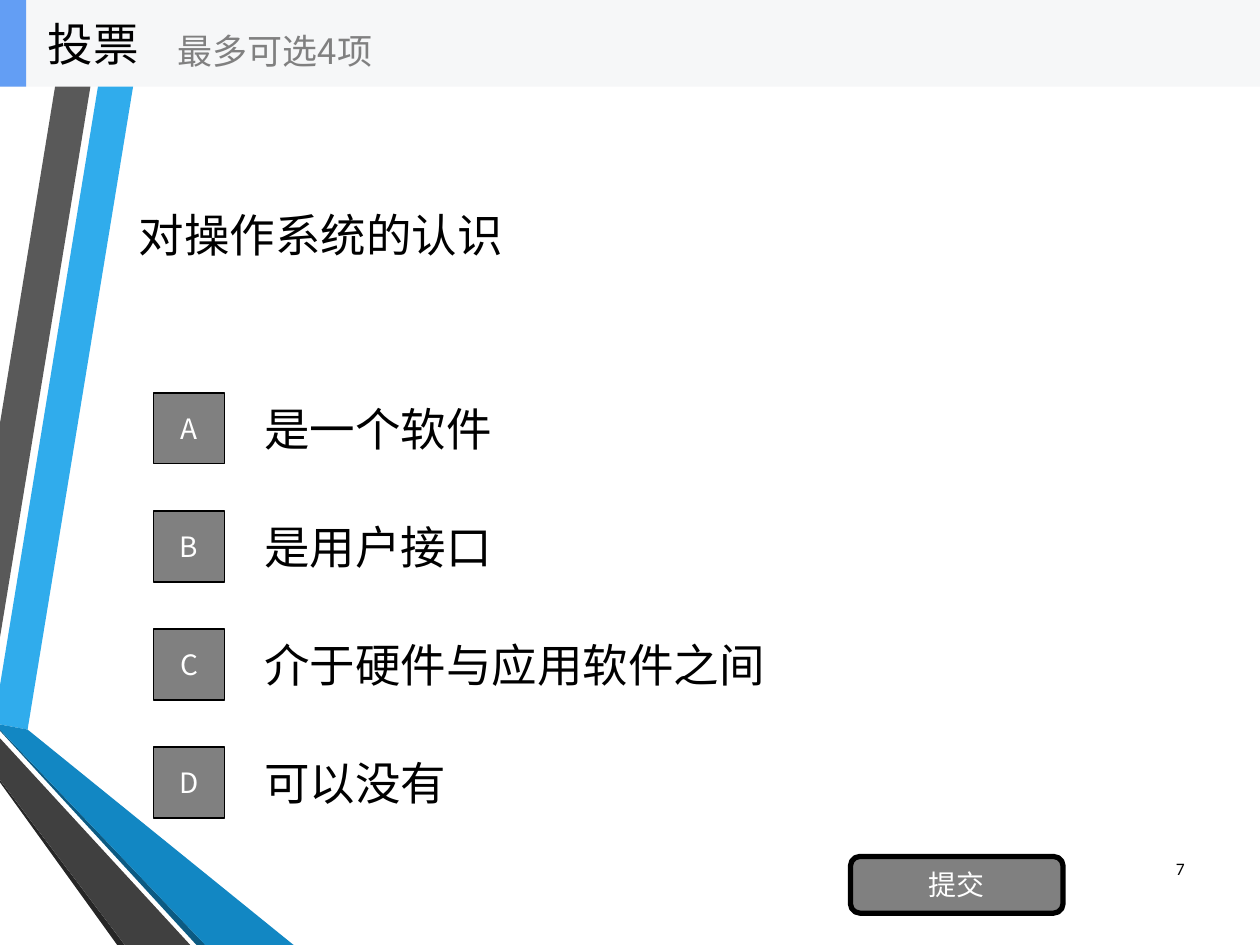
from lxml import etree
from pptx import Presentation
from pptx.dml.color import RGBColor
from pptx.enum import shapes, text
from pptx.oxml.ns import qn
from pptx.util import Pt

WIDTH, HEIGHT = 720, 540
CJK = "Noto Sans CJK SC"
BLACK, WHITE, GREY = "000000", "FFFFFF", "808080"

QUESTION = "对操作系统的认识"
OPTIONS = [
    ("A", "是一个软件"),
    ("B", "是用户接口"),
    ("C", "介于硬件与应用软件之间"),
    ("D", "可以没有"),
]
OPTION_TOP, OPTION_STEP = 219.4, 67.5
OPTION_HEIGHT, BADGE_SIZE = 50.6, 40.5
HEADER_HEIGHT = 49.6

RIBBONS = [
    ("30ACEC", [(0, 391.7), (0, 414), (15.8, 416.9), (84.2, 0), (64.1, 0)]),
    ("595959", [(59.8, 0), (39.6, 0), (0, 241.9), (0, 364.3)]),
    ("262626", [(0, 445.7), (0, 447.1), (67, 540), (71.3, 540)]),
    ("0C5A82", [(0, 416.9), (0, 417.6), (112.3, 540), (117.4, 540)]),
    ("1287C3", [(0, 416.9), (117.4, 540), (167.8, 540), (15.8, 416.9), (0, 414)]),
    ("404040", [(0, 445.7), (71.3, 540), (108.7, 540), (0, 421.9)]),
]


def color(value):
    return RGBColor.from_string(value)


def paint(shape, fill, line=None, line_width=1):
    shape.shadow.inherit = False
    shape.fill.solid()
    shape.fill.fore_color.rgb = color(fill)
    if line:
        shape.line.color.rgb = color(line)
        shape.line.width = Pt(line_width)
    else:
        shape.line.fill.background()


def write(shape, words, size=26, fill=BLACK, font=CJK, align=text.PP_ALIGN.LEFT):
    frame = shape.text_frame
    frame.word_wrap = True
    frame.auto_size = text.MSO_AUTO_SIZE.NONE
    frame.vertical_anchor = text.MSO_ANCHOR.MIDDLE
    paragraph = frame.paragraphs[0]
    paragraph.alignment = align
    run = paragraph.add_run()
    run.text = words
    run.font.size = Pt(size)
    run.font.color.rgb = color(fill)
    run.font.name = font
    east_asian = etree.SubElement(run.font._element, qn("a:ea"))
    east_asian.set("typeface", font)


def add_text(slide, box, words, **style):
    write(slide.shapes.add_textbox(*map(Pt, box)), words, **style)


def add_box(slide, kind, box, fill, **line):
    shape = slide.shapes.add_shape(kind, *map(Pt, box))
    paint(shape, fill, **line)
    return shape


def add_ribbon(slide, fill, points):
    start, *rest = [(Pt(x), Pt(y)) for x, y in points]
    builder = slide.shapes.build_freeform(*start)
    builder.add_line_segments(rest, close=True)
    paint(builder.convert_to_shape(), fill)


def main():
    presentation = Presentation()
    presentation.slide_width, presentation.slide_height = Pt(WIDTH), Pt(HEIGHT)
    slide = presentation.slides.add_slide(presentation.slide_layouts[5])
    rectangle = shapes.MSO_SHAPE.RECTANGLE
    button_style = {"size": 16, "fill": WHITE, "align": text.PP_ALIGN.CENTER}

    for fill, points in RIBBONS:
        add_ribbon(slide, fill, points)

    title = slide.shapes.title
    title.left, title.top, title.width, title.height = map(Pt, (72, 49.6, 576, 168.8))
    write(title, QUESTION)

    for index, (letter, answer) in enumerate(OPTIONS):
        top = OPTION_TOP + index * OPTION_STEP
        add_text(slide, (144, top, 504, OPTION_HEIGHT), answer)
        badge_top = top + (OPTION_HEIGHT - BADGE_SIZE) / 2
        badge = add_box(slide, rectangle, (87.8, badge_top, BADGE_SIZE, BADGE_SIZE),
                        GREY, line=BLACK)
        write(badge, letter, **button_style)

    submit = add_box(slide, shapes.MSO_SHAPE.ROUNDED_RECTANGLE, (486, 489.4, 121.5, 32.4),
                     GREY, line=BLACK, line_width=3)
    write(submit, "提交", **button_style)

    add_box(slide, rectangle, (0, 0, WIDTH, HEADER_HEIGHT), "F6F7F8")
    add_box(slide, rectangle, (0, 0, 15, HEADER_HEIGHT), "639EF4")
    add_text(slide, (20.2, 0, 150, HEADER_HEIGHT), "投票")
    add_text(slide, (94.3, 8.6, 180, 40.5), "最多可选4项", size=20, fill=GREY)
    add_text(slide, (651.6, 481.7, 32.4, 28.8), "7", size=10, font="Calibri",
             align=text.PP_ALIGN.RIGHT)

    presentation.save("out.pptx")


if __name__ == "__main__":
    main()
